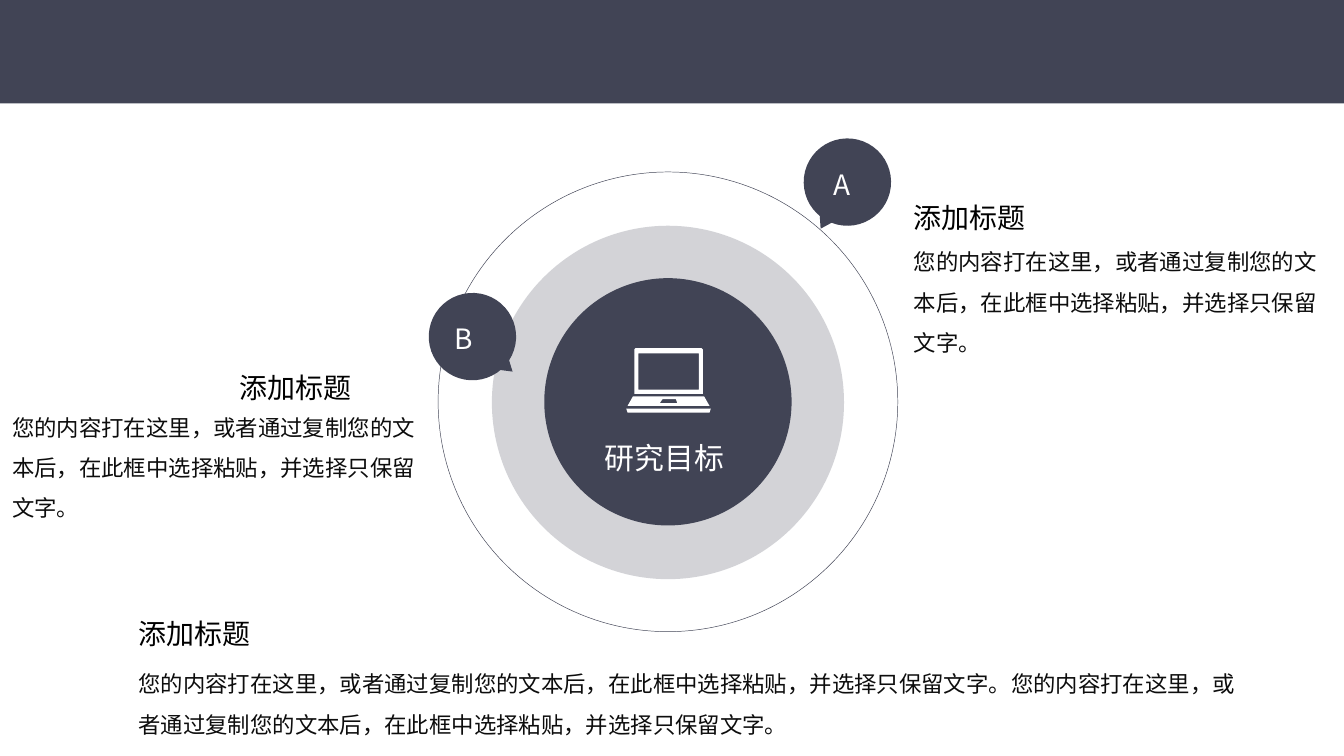
from dataclasses import dataclass

from lxml import etree
from pptx import Presentation
from pptx.dml.color import RGBColor
from pptx.enum.shapes import MSO_SHAPE
from pptx.enum.text import MSO_ANCHOR, MSO_AUTO_SIZE, PP_ALIGN
from pptx.oxml.ns import qn
from pptx.util import Pt

PX = 9144
SLIDE_WIDTH = 1000 * PX
SLIDE_HEIGHT = SLIDE_WIDTH * 9 // 16
FONT = "Noto Sans CJK SC"
NAVY = RGBColor(0x41, 0x44, 0x55)
WHITE = RGBColor(0xFF, 0xFF, 0xFF)
BLACK = RGBColor(0x00, 0x00, 0x00)
INK = RGBColor(0x0D, 0x0D, 0x0D)
RECT, OVAL = MSO_SHAPE.RECTANGLE, MSO_SHAPE.OVAL
TRIANGLE = MSO_SHAPE.ISOSCELES_TRIANGLE
TOP, LEFT = MSO_ANCHOR.TOP, PP_ALIGN.LEFT
GROW = MSO_AUTO_SIZE.SHAPE_TO_FIT_TEXT
TITLE_ONLY = 5

HEADING = "添加标题"
BODY = "您的内容打在这里，或者通过复制您的文本后，在此框中选择粘贴，并选择只保留文字。"
FRAME_FORMAT = {
    "margin_left": 5 * PX,
    "margin_right": 5 * PX,
    "margin_top": 5 * PX,
    "margin_bottom": 5 * PX,
    "vertical_anchor": TOP,
    "auto_size": GROW,
}
LAPTOP = [
    [(524, 295), (471, 295), (467, 302), (528, 302)],
    [(491, 300), (493, 297), (503, 297), (504, 300)],
    [(523, 293), (523, 260), (522, 259), (473, 259), (472, 260), (472, 293)],
    [(520, 290), (475, 290), (475, 263), (520, 263)],
    [(529, 304), (466, 304), (467, 307), (528, 307)],
]


@dataclass(frozen=True)
class Box:
    x: int
    y: int
    w: int
    h: int

    def emu(self) -> list[int]:
        return [v * PX for v in (self.x, self.y, self.w, self.h)]


@dataclass(frozen=True)
class Section:
    heading: Box
    body: Box
    text: str


@dataclass(frozen=True)
class Badge:
    letter: str
    disc: Box
    disc_turn: float
    tail: Box
    tail_turn: float
    label: Box


SECTIONS = [
    Section(Box(675, 144, 95, 39), Box(675, 170, 313, 104), BODY),
    Section(Box(173, 271, 95, 39), Box(4, 293, 313, 104), BODY),
    Section(Box(98, 454, 95, 39), Box(98, 484, 835, 100), BODY * 2),
]
BADGES = [
    Badge("A", Box(598, 103, 65, 65), 21.5, Box(605, 157, 18, 14), 208.8,
          Box(615, 120, 25, 35)),
    Badge("B", Box(319, 218, 65, 65), 302.9, Box(367, 265, 18, 14), 130.2,
          Box(333, 234, 25, 35)),
]


def paint(sp, color: RGBColor) -> None:
    sp.shadow.inherit = False
    sp.fill.solid()
    sp.fill.fore_color.rgb = color
    sp.line.fill.background()


def add_solid(shapes, kind, box: Box, color: RGBColor = NAVY, turn: float = 0):
    sp = shapes.add_shape(kind, *box.emu())
    paint(sp, color)
    sp.rotation = turn
    return sp


def write(sp, text: str, size: int, color: RGBColor, wrap: bool = False,
          spacing: float = 1.0) -> None:
    tf = sp.text_frame
    for name, value in {**FRAME_FORMAT, "word_wrap": wrap}.items():
        setattr(tf, name, value)
    p = tf.paragraphs[0]
    p.alignment = LEFT
    p.line_spacing = spacing
    r = p.add_run()
    r.text = text
    for name, value in {"name": FONT, "size": Pt(size), "bold": False}.items():
        setattr(r.font, name, value)
    r.font.color.rgb = color
    etree.SubElement(r.font._element, qn("a:ea")).set("typeface", FONT)


def add_section(shapes, section: Section) -> None:
    body = shapes.add_textbox(*section.body.emu())
    write(body, section.text, 12, INK, wrap=True, spacing=1.5)
    write(shapes.add_textbox(*section.heading.emu()), HEADING, 15, BLACK)


def add_badge(shapes, badge: Badge) -> None:
    add_solid(shapes, OVAL, badge.disc, turn=badge.disc_turn)
    add_solid(shapes, TRIANGLE, badge.tail, turn=badge.tail_turn)
    write(add_solid(shapes, RECT, badge.label), badge.letter, 15, WHITE)


def add_rings(shapes) -> None:
    halo = add_solid(shapes, OVAL, Box(366, 168, 262, 263))
    rgb = halo.fill._xPr.find(".//" + qn("a:srgbClr"))
    etree.SubElement(rgb, qn("a:alpha")).set("val", "23000")
    orbit = add_solid(shapes, OVAL, Box(326, 128, 342, 342))
    orbit.fill.background()
    orbit.line.color.rgb = NAVY
    orbit.line.width = Pt(0.25)
    add_solid(shapes, OVAL, Box(405, 207, 184, 184))


def add_laptop(shapes) -> None:
    first, *others = LAPTOP
    outline = shapes.build_freeform(*first[0], scale=PX)
    outline.add_line_segments(first[1:], close=True)
    for contour in others:
        outline.move_to(*contour[0])
        outline.add_line_segments(contour[1:], close=True)
    paint(outline.convert_to_shape(), WHITE)


def place_title(shapes) -> None:
    title = shapes.title
    title.left, title.top, title.width, title.height = Box(445, 322, 100, 41).emu()
    write(title, "研究目标", 16, WHITE)
    shapes._spTree.append(title._element)


def main() -> None:
    prs = Presentation()
    prs.slide_width, prs.slide_height = SLIDE_WIDTH, SLIDE_HEIGHT
    shapes = prs.slides.add_slide(prs.slide_layouts[TITLE_ONLY]).shapes
    add_solid(shapes, RECT, Box(0, 0, 1000, 77))
    add_rings(shapes)
    add_laptop(shapes)
    place_title(shapes)
    for badge in BADGES:
        add_badge(shapes, badge)
    for section in SECTIONS:
        add_section(shapes, section)
    prs.save("out.pptx")


if __name__ == "__main__":
    main()
